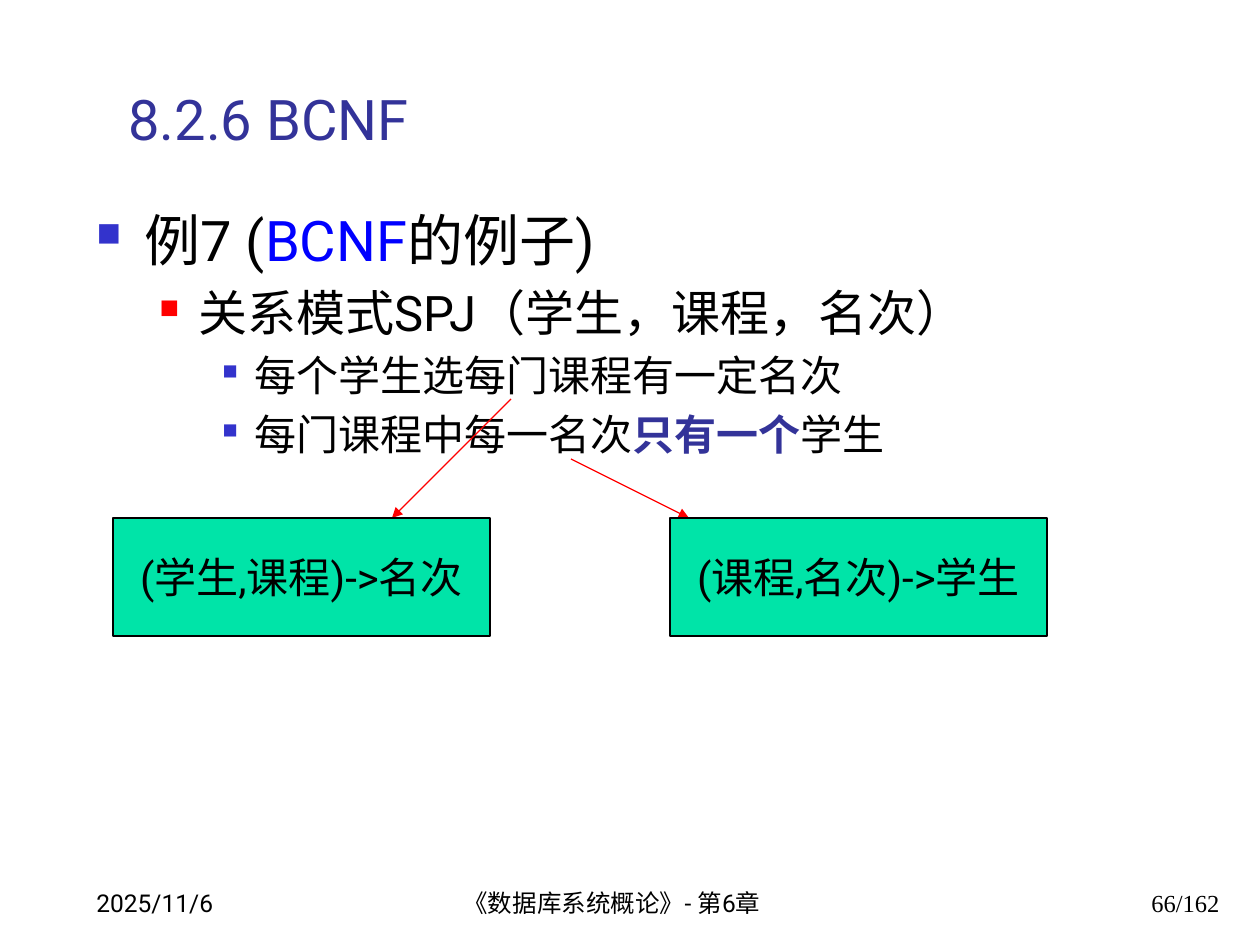
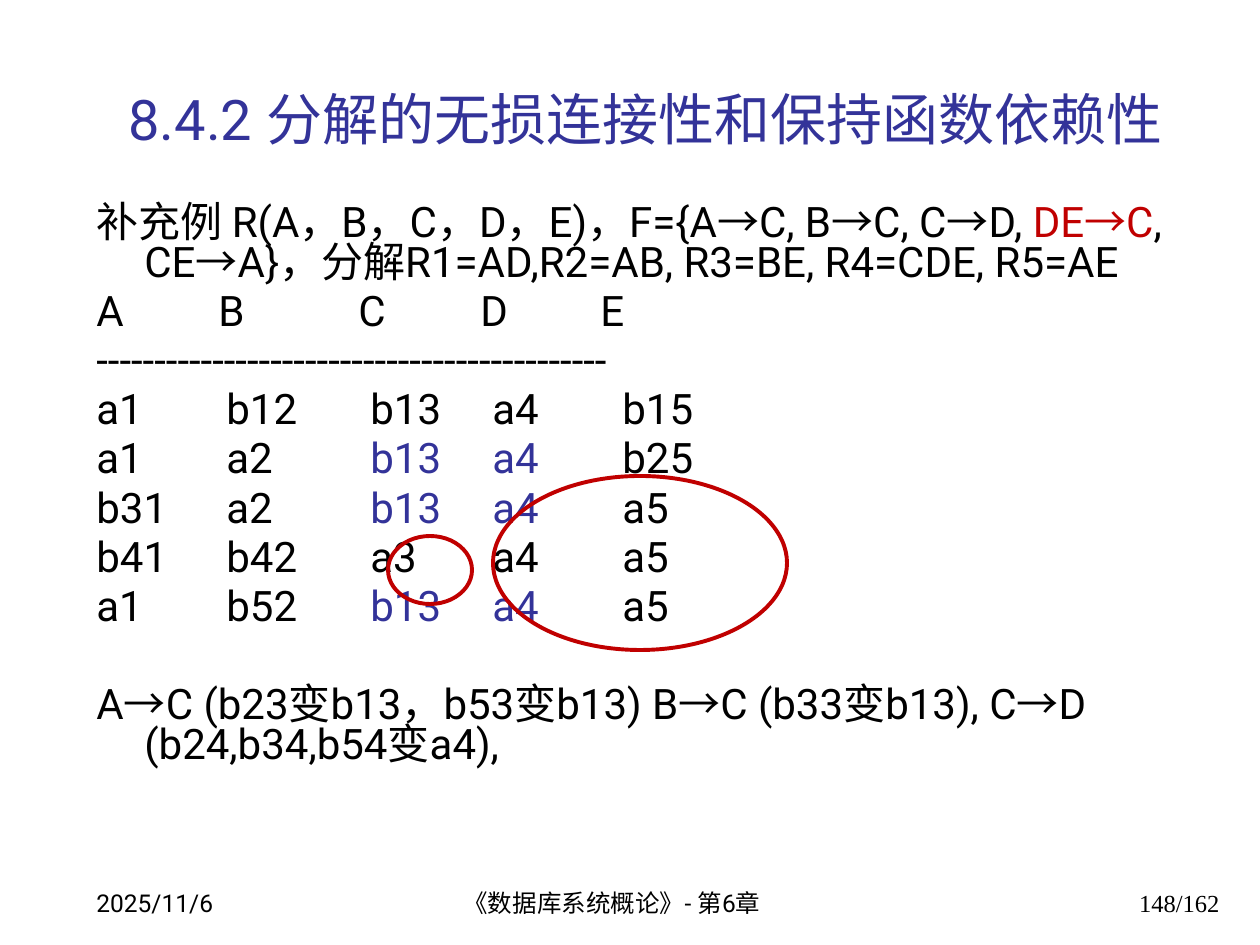
from lxml.etree import SubElement
from pptx import Presentation
from pptx.dml.color import RGBColor
from pptx.enum.shapes import MSO_CONNECTOR, MSO_SHAPE
from pptx.enum.text import MSO_ANCHOR, PP_ALIGN
from pptx.oxml.ns import qn
from pptx.util import Emu, Pt

PX_PER_INCH = 126
BLACK, NAVY, BLUE, RED = "000000", "333399", "0000FF", "FF0000"
BULLET_BLUE, DARK_RED, GREEN = "3333CC", "C00000", "00E4A8"
LATIN, CJK, SERIF = "Roboto", "Noto Sans CJK SC", "Times New Roman"

# Boxes are (left, top, width, height) in px
TITLE_BOX = (116, 53, 1116, 105)
BODY_BOX = (84, 199, 1150, 645)
FOOTER_TOP, FOOTER_HEIGHT = 861, 63

# Outline levels: size, left margin, hanging indent, bullet colour, bullet percent
LEVELS = [
    (32, 48, 48, BULLET_BLUE, 60),
    (28, 102, 39, RED, 55),
    (24, 158, 32, BULLET_BLUE, 50),
]


def px(length):
    return Emu(round(length * 914400 / PX_PER_INCH))


def color(hex_text):
    return RGBColor.from_string(hex_text)


def style_font(font, size, hex_text=BLACK, name=LATIN):
    font.size = Pt(size)
    font.name = name
    font.color.rgb = color(hex_text)


def add_text_box(page, box, anchor=MSO_ANCHOR.TOP):
    frame = page.shapes.add_textbox(*map(px, box)).text_frame
    frame.word_wrap = True
    frame.vertical_anchor = anchor
    return frame


def next_para(frame):
    """Use the empty first paragraph before adding more."""
    first = frame.paragraphs[0]
    return frame.add_paragraph() if first.runs else first


def add_span(para, text, hex_text=None, bold=False):
    """Add text, with its arrows in the CJK font."""
    for piece in text.replace("→", "\0→\0").split("\0"):
        if not piece:
            continue
        span = para.add_run()
        span.text = piece
        if piece == "→":
            span.font.name = CJK
        if hex_text:
            span.font.color.rgb = color(hex_text)
        if bold:
            span.font.bold = True


def set_indent(para, margin, hanging):
    props = para._p.get_or_add_pPr()
    props.set("marL", str(px(margin)))
    props.set("indent", str(-px(hanging)))
    return props


def set_tab_stops(para, stops):
    """Leave the indent unset: an explicit one resets the stops when drawn."""
    tabs = SubElement(para._p.get_or_add_pPr(), qn("a:tabLst"))
    for stop in stops:
        SubElement(tabs, qn("a:tab"), pos=str(px(stop)), algn="l")


def add_line_of_text(page, box, text, size, hex_text=BLACK, name=LATIN,
                     align=PP_ALIGN.LEFT):
    para = add_text_box(page, box, MSO_ANCHOR.BOTTOM).paragraphs[0]
    para.alignment = align
    style_font(para.font, size, hex_text, name)
    add_span(para, text)


def add_page(deck, title, number):
    """Blank page with the shared title and footers."""
    page = deck.slides.add_slide(deck.slide_layouts[6])
    add_line_of_text(page, TITLE_BOX, title, 32, NAVY)
    footers = [
        (84, 262, "2025/11/6", LATIN, PP_ALIGN.LEFT),
        (451, 399, "《数据库系统概论》- 第6章", LATIN, PP_ALIGN.LEFT),
        (970, 262, f"{number}/162", SERIF, PP_ALIGN.RIGHT),
    ]
    for left, width, text, name, align in footers:
        box = (left, FOOTER_TOP, width, FOOTER_HEIGHT)
        add_line_of_text(page, box, text, 14, BLACK, name, align)
    return page


def add_shape(page, kind, box, line_color, line_width, fill=None):
    shape = page.shapes.add_shape(kind, *map(px, box))
    shape.shadow.inherit = False
    shape.line.color.rgb = color(line_color)
    shape.line.width = Pt(line_width)
    if fill:
        shape.fill.solid()
        shape.fill.fore_color.rgb = color(fill)
    else:
        shape.fill.background()
    return shape


def add_arrow(page, start, end):
    arrow = page.shapes.add_connector(
        MSO_CONNECTOR.STRAIGHT, *map(px, start + end))
    arrow.line.color.rgb = color(RED)
    arrow.line.width = Pt(0.75)
    SubElement(arrow.line._get_or_add_ln(), qn("a:tailEnd"), type="triangle")
    SubElement(arrow._element.spPr, qn("a:effectLst"))


# Bulleted outline
def add_outline(page, box, items):
    frame = add_text_box(page, box)
    for index, (level, spans) in enumerate(items):
        size, margin, hanging, bullet_color, percent = LEVELS[level]
        para = next_para(frame)
        para.level = level
        props = set_indent(para, margin, hanging)
        bullet = SubElement(props, qn("a:buClr"))
        SubElement(bullet, qn("a:srgbClr"), val=bullet_color)
        SubElement(props, qn("a:buSzPct"), val=str(percent * 1000))
        SubElement(props, qn("a:buChar"), char="■")
        if index:
            para.space_before = Pt(size * 0.2)
        style_font(para.font, size)
        for span in spans:
            add_span(para, *span)


# Boxed dependency with an arrow to its top edge
def add_dependency(page, box, text, arrow_start, arrow_end_offset):
    left, top = box[:2]
    add_arrow(page, arrow_start, (left + arrow_end_offset, top))
    shape = add_shape(page, MSO_SHAPE.RECTANGLE, box, BLACK, 0.75, GREEN)
    frame = shape.text_frame
    frame.word_wrap = False
    frame.vertical_anchor = MSO_ANCHOR.MIDDLE
    para = frame.paragraphs[0]
    para.alignment = PP_ALIGN.CENTER
    style_font(para.font, 24)
    add_span(para, text)


# Decomposition text, with tab stops for the matrix
def add_tight_para(frame, spans, space=5, stops=()):
    para = next_para(frame)
    if stops:
        set_tab_stops(para, stops)
    else:
        set_indent(para, 48, 48)
    para.line_spacing = 0.8
    if space:
        para.space_before = Pt(space)
    style_font(para.font, 24)
    for span in spans:
        add_span(para, *span)


def add_decomposition(page, box):
    frame = add_text_box(page, box)
    add_tight_para(frame, [
        ("补充例 R(A，B，C，D，E)，F={A→C, B→C, C→D, ",),
        ("DE→C", DARK_RED),
        (", CE→A}，分解R1=AD,R2=AB, R3=BE, R4=CDE, R5=AE",),
    ], space=0)
    add_tight_para(frame, [("A\tB\tC\tD\tE",)], stops=(122, 262, 384, 504))
    add_tight_para(frame, [("-" * 44,)])

    # Matrix rows: plain cells, changed cells, plain cells
    rows = [
        ("a1\tb12\tb13\ta4\tb15", "", ""),
        ("a1\ta2\t", "b13\ta4", "\tb25"),
        ("b31\ta2\t", "b13\ta4", "\ta5"),
        ("b41\tb42\ta3\ta4\ta5", "", ""),
        ("a1\tb52\t", "b13\ta4", "\ta5"),
    ]
    for before, changed, after in rows:
        add_tight_para(frame, [(before,), (changed, NAVY), (after,)],
                       stops=(130, 274, 396, 526))
    add_tight_para(frame, [
        ("A→C (b23变b13，b53变b13) B→C (b33变b13), "
         "C→D (b24,b34,b54变a4),",),
    ], space=33)


def build_bcnf_page(deck):
    page = add_page(deck, "8.2.6 BCNF", 66)
    add_outline(page, BODY_BOX, [
        (0, [("例7 (",), ("BCNF", BLUE), ("的例子)",)]),
        (1, [("关系模式SPJ（学生，课程，名次）",)]),
        (2, [("每个学生选每门课程有一定名次",)]),
        (2, [("每门课程中每一名次",), ("只有一个", NAVY, True), ("学生",)]),
    ])
    add_dependency(page, (113, 518, 377, 118), "(学生,课程)->名次", (511, 399), 279)
    add_dependency(page, (670, 518, 377, 118), "(课程,名次)->学生", (571, 459), 19)


def build_lossless_page(deck):
    page = add_page(deck, "8.4.2 分解的无损连接性和保持函数依赖性", 148)
    add_decomposition(page, BODY_BOX)
    # Rings around the cells that matter
    for ring in [(493, 476, 294, 174), (388, 536, 84, 68)]:
        add_shape(page, MSO_SHAPE.OVAL, ring, DARK_RED, 2.25)


def main():
    deck = Presentation()
    deck.slide_width, deck.slide_height = px(1260), px(945)
    build_bcnf_page(deck)
    build_lossless_page(deck)
    deck.save("out.pptx")


if __name__ == "__main__":
    main()
